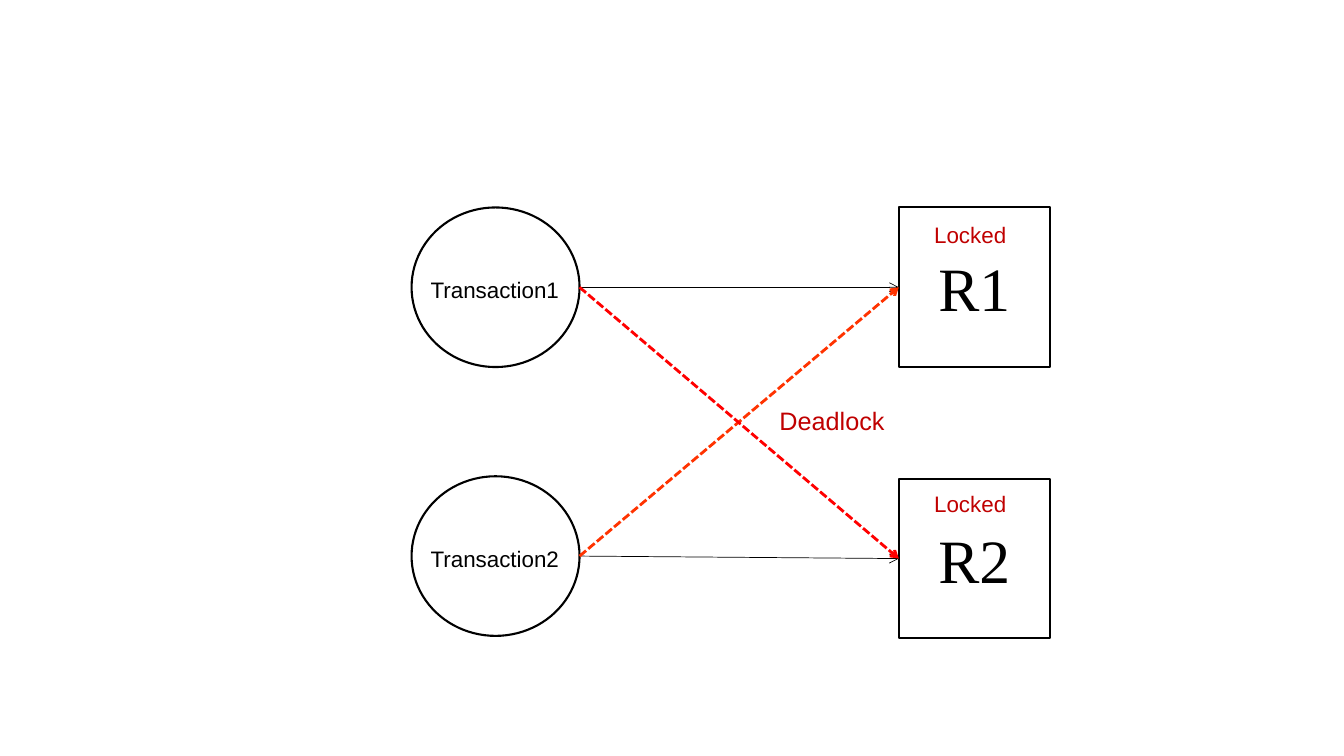
from dataclasses import dataclass

from lxml.etree import SubElement
from pptx import Presentation
from pptx.dml.color import RGBColor
from pptx.enum.dml import MSO_LINE
from pptx.enum.shapes import MSO_CONNECTOR, MSO_SHAPE
from pptx.enum.text import MSO_ANCHOR, MSO_AUTO_SIZE, PP_ALIGN
from pptx.oxml.ns import qn
from pptx.shapes.autoshape import Shape
from pptx.text.text import TextFrame
from pptx.util import Inches, Pt


@dataclass(frozen=True)
class Theme:
    """Colours, fonts and sizes of the slide."""
    ink: str = "000000"
    alert: str = "C00000"
    wait1: str = "FF0000"
    wait2: str = "FF3300"
    sans: str = "Arial"
    serif: str = "Times New Roman"
    small: int = 16
    mid: int = 18
    large: int = 44
    thin: float = 0.5
    edge: float = 1.5
    bold: float = 2


@dataclass(frozen=True)
class Box:
    """An area in grid columns and rows."""
    col: float
    row: float
    cols: float
    rows: float


@dataclass(frozen=True)
class Label:
    """A line of text and its look."""
    text: str
    size: int
    color: str
    font: str


@dataclass(frozen=True)
class Link:
    """An arrow from a transaction to a resource."""
    start: int
    end: int
    color: str
    width: float
    dashed: bool = False


theme = Theme()
deck = Presentation()
deck.slide_width, deck.slide_height = Inches(13.33), Inches(7.5)
COLS, ROWS = 160, 90
slide = deck.slides.add_slide(deck.slide_layouts[6])


def across(cols: float) -> int:
    """Turn grid columns into a length."""
    return round(deck.slide_width * cols / COLS)


def down(rows: float) -> int:
    """Turn grid rows into a length."""
    return round(deck.slide_height * rows / ROWS)


def place(box: Box) -> tuple[int, int, int, int]:
    """Give left, top, width and height of a box."""
    return across(box.col), down(box.row), across(box.cols), down(box.rows)


def write(frame: TextFrame, label: Label) -> None:
    """Put one centred label in a frame."""
    para = frame.paragraphs[0]
    para.alignment = PP_ALIGN.CENTER
    run = para.add_run()
    run.text = label.text
    for key, value in {"name": label.font, "size": Pt(label.size)}.items():
        setattr(run.font, key, value)
    run.font.color.rgb = RGBColor.from_string(label.color)


def node(kind: MSO_SHAPE, box: Box) -> Shape:
    """Draw an outlined shape without fill."""
    shape = slide.shapes.add_shape(kind, *place(box))
    shape.shadow.inherit = False
    shape.fill.background()
    shape.line.color.rgb = RGBColor.from_string(theme.ink)
    shape.line.width = Pt(theme.edge)
    return shape


def note(box: Box, label: Label) -> None:
    """Draw a free label that fits its text."""
    frame = slide.shapes.add_textbox(*place(box)).text_frame
    looks = {"word_wrap": False, "auto_size": MSO_AUTO_SIZE.SHAPE_TO_FIT_TEXT}
    for key, value in looks.items():
        setattr(frame, key, value)
    write(frame, label)


def join(start: Shape, end: Shape, link: Link) -> None:
    """Draw an arrow from the right side of start to the left side of end."""
    line = slide.shapes.add_connector(
        MSO_CONNECTOR.STRAIGHT,
        start.left + start.width, start.top + start.height // 2,
        end.left, end.top + end.height // 2)
    line.line.color.rgb = RGBColor.from_string(link.color)
    line.line.width = Pt(link.width)
    if link.dashed:
        line.line.dash_style = MSO_LINE.SQUARE_DOT
    SubElement(line.line._get_or_add_ln(), qn("a:tailEnd"), type="arrow")
    SubElement(line._element.spPr, qn("a:effectLst"))


tasks = [node(MSO_SHAPE.OVAL, Box(49, row, 20, 19)) for row in (24.7, 56.7)]

stores = []
for num, row in enumerate((24.7, 57), 1):
    store = node(MSO_SHAPE.RECTANGLE, Box(107, row, 18, 19))
    store.text_frame.vertical_anchor = MSO_ANCHOR.MIDDLE
    write(store.text_frame,
          Label(f"R{num}", theme.large, theme.ink, theme.serif))
    stores.append(store)

for link in (
    Link(0, 0, theme.ink, theme.thin),
    Link(1, 1, theme.ink, theme.thin),
    Link(1, 0, theme.wait2, theme.bold, True),
    Link(0, 1, theme.wait1, theme.bold, True),
):
    join(tasks[link.start], stores[link.end], link)

for num, row in enumerate((32.25, 64.25), 1):
    note(Box(50, row, 17.8, 4.4),
         Label(f"Transaction{num}", theme.small, theme.ink, theme.sans))
note(Box(91.6, 47.7, 14.9, 4.8),
     Label("Deadlock", theme.mid, theme.alert, theme.sans))
for row in (25.7, 57.7):
    note(Box(110, row, 11, 4.4),
         Label("Locked", theme.small, theme.alert, theme.sans))

deck.save("out.pptx")
